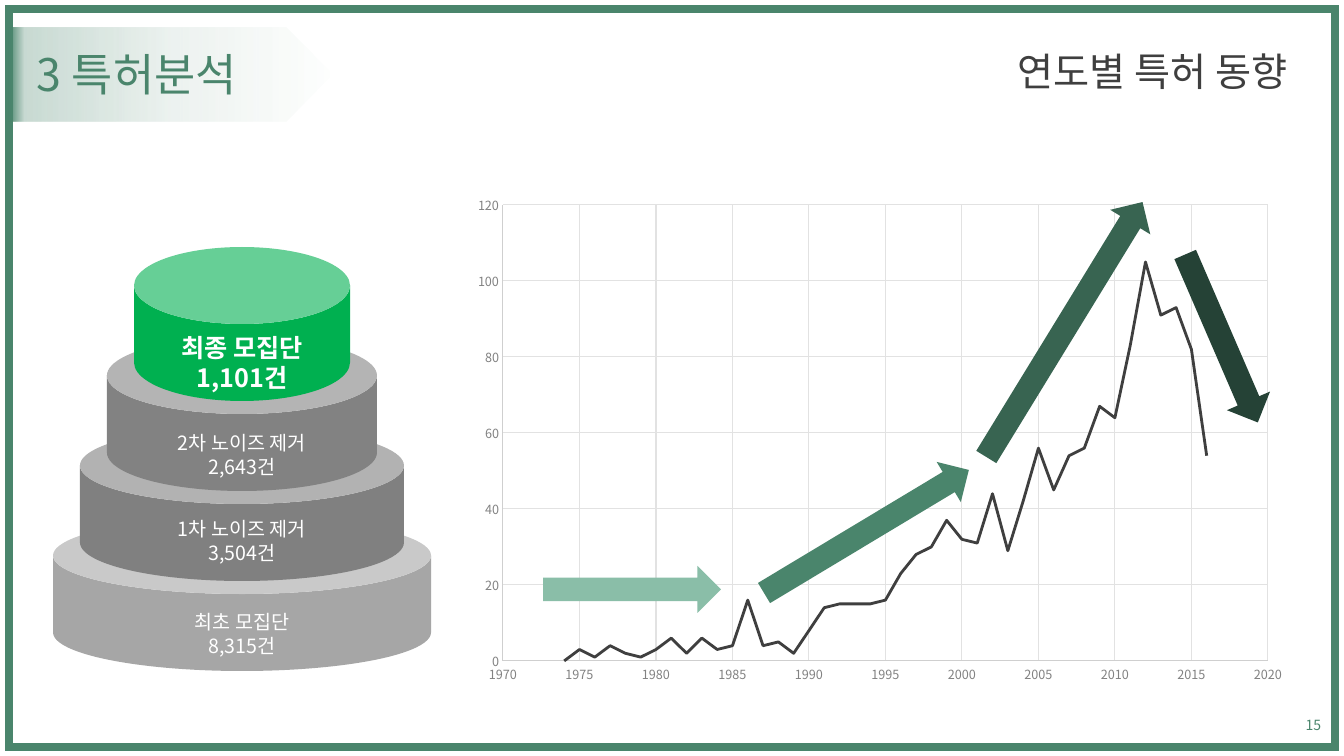
from lxml.etree import SubElement
from pptx import Presentation
from pptx.chart.data import XyChartData
from pptx.dml.color import RGBColor
from pptx.enum.chart import XL_CHART_TYPE, XL_TICK_MARK
from pptx.enum.shapes import MSO_SHAPE
from pptx.enum.text import MSO_ANCHOR, PP_ALIGN
from pptx.oxml import parse_xml
from pptx.oxml.ns import nsdecls, qn
from pptx.util import Emu, Pt

FONT = "Noto Sans CJK KR"
GREEN, DARK, WHITE = "4A856C", "3F3F3F", "FFFFFF"
LEFT, MID, RIGHT = PP_ALIGN.JUSTIFY, PP_ALIGN.CENTER, PP_ALIGN.RIGHT

START = 1974
COUNTS = [0, 3, 1, 4, 2, 1, 3, 6, 2, 6, 3, 4, 16, 4, 5, 2, 8, 14, 15, 15, 15, 16,
          23, 28, 30, 37, 32, 31, 44, 29, 42, 56, 45, 54, 56, 67, 64, 83, 105, 91,
          93, 82, 54]
ARROWS = [
    ((747, 508, 239, 47), 329, GREEN),
    ((543, 566, 178, 47), 0, "8ABEA8"),
    ((915, 306, 299, 47), 301.5, "386451"),
    ((1130, 315, 183, 47), 66.6, "254236"),
]
TIERS = [
    ("A6A6A6", "최초 모집단\n8,315건", 605),
    ("808080", "1차 노이즈 제거\n3,504건", 512),
    ("828282", "2차 노이즈 제거\n2,643건", 426),
    ("00B050", "최종 모집단\n1,101건", 326),
]
FADE = [(0, 100), (5, 30), (50, 10), (100, 0)]
CHART = (462, 186, 838, 507)
PLOT = (503, 205, 765, 456)


def px(n):
    return Emu(round(n * 914400 / 100.8))


def color(code):
    return RGBColor.from_string(code)


def shape(kind, box, fill=None, turn=0, adjust=()):
    item = slide.shapes.add_shape(kind, *map(px, box))
    item.shadow.inherit = False
    item.line.fill.background()
    item.rotation = turn
    for i, value in enumerate(adjust):
        item.adjustments[i] = value
    if fill:
        item.fill.solid()
        item.fill.fore_color.rgb = color(fill)
    else:
        item.fill.background()
    return item


def text(words, box, size=14, ink=WHITE, align=MID, anchor=MSO_ANCHOR.TOP,
         bold=False, lead=None):
    frame = slide.shapes.add_textbox(*map(px, box)).text_frame
    frame.word_wrap = True
    frame.vertical_anchor = anchor
    frame.text = words
    for para in frame.paragraphs:
        para.alignment = align
        para.line_spacing = lead
        for run in para.runs:
            font = run.font
            font.name, font.size, font.bold = FONT, Pt(size), bold
            font.color.rgb = color(ink)
            SubElement(font._element, qn("a:ea"), typeface=FONT)


def frame_page():
    edge = shape(MSO_SHAPE.RECTANGLE, (9, 9, 1326, 738))
    edge.line.color.rgb = color(GREEN)
    edge.line.width = Pt(6)
    SubElement(edge.line._get_or_add_ln(), qn("a:miter"), lim="800000")

    tab = shape(MSO_SHAPE.RIGHT_ARROW, (9, 28, 323, 93), adjust=(1, 0.5))
    stops = "".join(
        f'<a:gs pos="{at * 1000}"><a:srgbClr val="{GREEN}">'
        f'<a:alpha val="{alpha * 1000}"/></a:srgbClr></a:gs>' for at, alpha in FADE)
    fade = parse_xml(f'<a:gradFill {nsdecls("a")} rotWithShape="1"><a:gsLst>{stops}'
                     '</a:gsLst><a:lin ang="0" scaled="0"/></a:gradFill>')
    blank = tab._element.spPr.find(qn("a:noFill"))
    blank.getparent().replace(blank, fade)

    middle = MSO_ANCHOR.MIDDLE
    text("3 특허분석", (27, 43, 536, 62), 32, GREEN, LEFT, middle)
    text("연도별 특허 동향", (692, 43, 605, 62), 28, DARK, RIGHT, middle, lead=0.9)


def draw_chart():
    data = XyChartData()
    series = data.add_series("특허 건수")
    for year, count in enumerate(COUNTS, START):
        series.add_data_point(year, count)
    chart = slide.shapes.add_chart(
        XL_CHART_TYPE.XY_SCATTER_LINES_NO_MARKERS, *map(px, CHART), data).chart
    chart.has_legend = chart.has_title = False
    chart.font.name, chart.font.size = FONT, Pt(10)
    chart.font.color.rgb = color(DARK)

    plot = chart.plots[0]
    plot.vary_by_categories = False
    curve = plot.series[0]
    curve.smooth = False
    curve.format.line.color.rgb = color(DARK)
    curve.format.line.width = Pt(2)

    scales = [(chart.category_axis, 1970, 2020, 5), (chart.value_axis, 0, 120, 20)]
    for axis, low, high, step in scales:
        axis.minimum_scale, axis.maximum_scale = low, high
        axis.major_unit = step
        axis.major_tick_mark = axis.minor_tick_mark = XL_TICK_MARK.NONE
        axis.has_major_gridlines = True
        for line, ink in ((axis.format.line, "CFCFCF"),
                          (axis.major_gridlines.format.line, "E2E2E2")):
            line.color.rgb = color(ink)
            line.width = Pt(0.75)
        labels = axis.tick_labels
        labels.number_format, labels.number_format_is_linked = "General", False
        labels.font.name, labels.font.size = FONT, Pt(9)
        labels.font.color.rgb = color("828282")

    left, top, wide, high = CHART
    spots = {"x": (PLOT[0] - left) / wide, "y": (PLOT[1] - top) / high,
             "w": PLOT[2] / wide, "h": PLOT[3] / high}
    area = chart._chartSpace.chart.plotArea
    for old in area.findall(qn("c:layout")):
        area.remove(old)
    marks = "".join(f'<c:{key}Mode val="edge"/>' for key in "xy")
    marks += "".join(f'<c:{key} val="{value:.4f}"/>' for key, value in spots.items())
    area.insert(0, parse_xml(
        f'<c:layout {nsdecls("c")}><c:manualLayout><c:layoutTarget val="inner"/>'
        f'{marks}</c:manualLayout></c:layout>'))


def draw_tiers():
    for i, (fill, words, top) in enumerate(TIERS):
        box = (53 + 27 * i, 517 - 90 * i, 378 - 54 * i, 154)
        shape(MSO_SHAPE.CAN, box, fill, adjust=(0.5,))
    for i, (fill, words, top) in enumerate(TIERS):
        last = i == len(TIERS) - 1
        text(words, (146, top, 192, 72 if last else 57), 18 if last else 14,
             anchor=MSO_ANCHOR.BOTTOM if last else MSO_ANCHOR.TOP, bold=last)


deck = Presentation()
deck.slide_width, deck.slide_height = px(1344), px(756)
slide = deck.slides.add_slide(deck.slide_layouts[6])
frame_page()
draw_chart()
for box, turn, fill in ARROWS:
    shape(MSO_SHAPE.RIGHT_ARROW, box, fill, turn)
draw_tiers()
text("15", (1270, 705, 61, 40), 10, GREEN, RIGHT, MSO_ANCHOR.MIDDLE)
deck.save("out.pptx")
